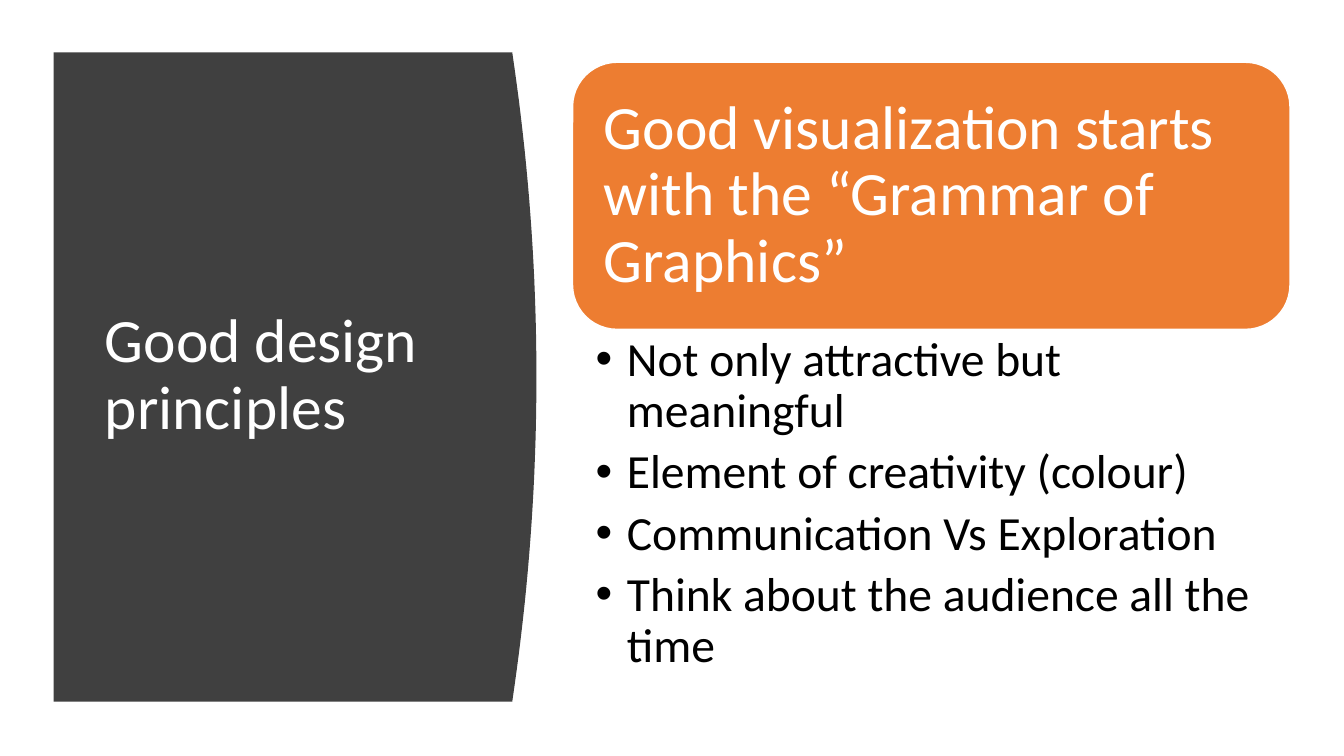
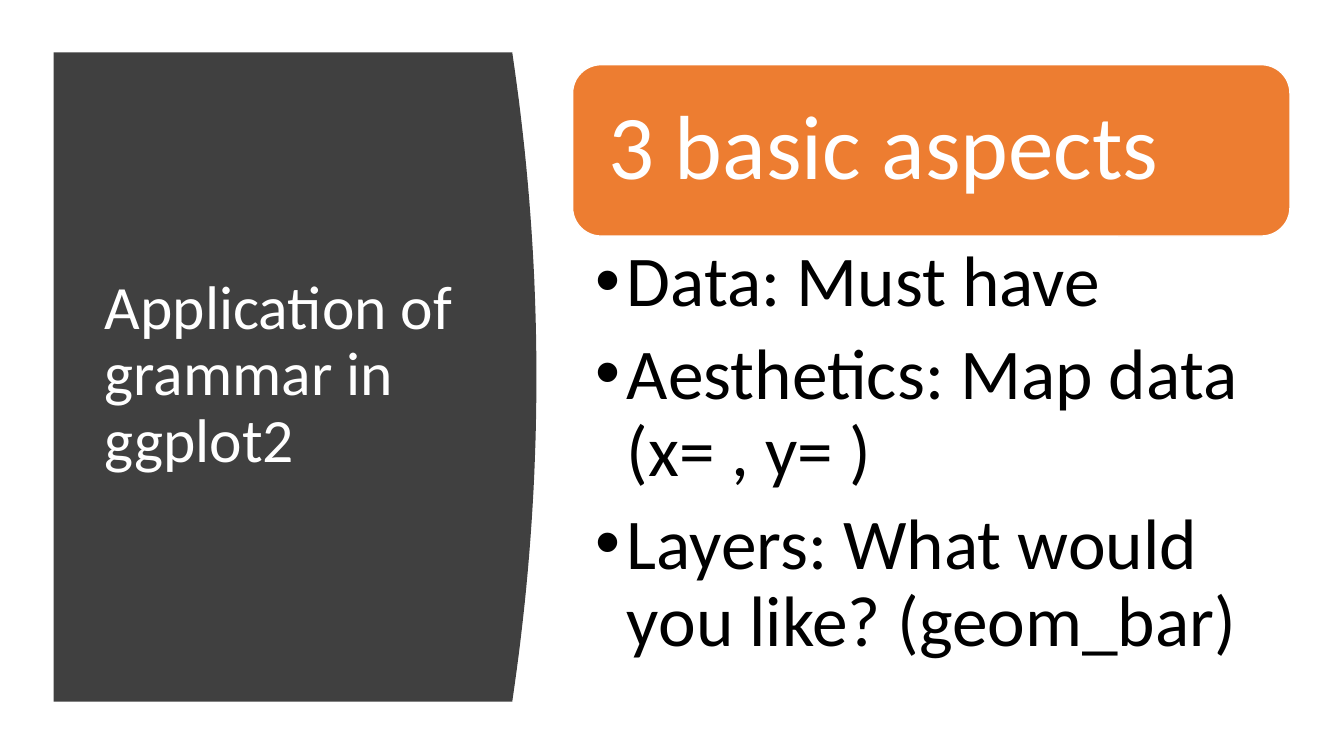
from lxml import etree
from pptx import Presentation
from pptx.dml.color import RGBColor
from pptx.enum.shapes import MSO_SHAPE
from pptx.enum.text import MSO_ANCHOR, MSO_AUTO_SIZE, PP_ALIGN
from pptx.oxml.ns import qn
from pptx.util import Cm, Pt

ROUNDED = MSO_SHAPE.ROUNDED_RECTANGLE
MIDDLE, TOP = MSO_ANCHOR.MIDDLE, MSO_ANCHOR.TOP
LEFT = PP_ALIGN.LEFT
NO_AUTOFIT = MSO_AUTO_SIZE.NONE

COLORS = {"panel": "404040", "header": "ED7D31", "light": "FFFFFF", "dark": "000000"}
FONT = "Calibri"
TITLE_SIZE = 44
TITLE_ONLY = 5

PANEL_LEFT, PANEL_TOP = 1.35, 1.32
PANEL_WIDTH, PANEL_HEIGHT = 11.56, 16.36
PANEL_BULGE = 0.61
CURVE_STEPS = 40
CONTENT_LEFT, CONTENT_WIDTH = 14.43, 18.08
CONTENT_BOTTOM = 17.4
BULLET_INDENT = 0.79

SLIDES = [
    {
        "title": "Good design principles",
        "header": "Good visualization starts with the “Grammar of Graphics”",
        "header_size": 44,
        "header_top": 1.57,
        "header_height": 6.73,
        "header_inset": 0.46,
        "points": [
            "Not only attractive but meaningful",
            "Element of creativity (colour)",
            "Communication Vs Exploration",
            "Think about the audience all the time",
        ],
        "points_size": 34,
        "points_insets": (0.58, 0.15, 0.86, 0.15),
    },
    {
        "title": "Application of grammar in ggplot2",
        "header": "3 basic aspects",
        "header_size": 65,
        "header_top": 1.63,
        "header_height": 4.32,
        "header_inset": 0.69,
        "points": [
            "Data: Must have",
            "Aesthetics: Map data (x= , y= )",
            "Layers: What would you like? (geom_bar)",
        ],
        "points_size": 51,
        "points_insets": (0.58, 0.23, 1.3, 0.23),
    },
]


def rgb(name):
    return RGBColor.from_string(COLORS[name])


def set_frame(frame, anchor, insets):
    """Insets are left, top, right, bottom in centimetres."""
    frame.word_wrap = True
    frame.auto_size = NO_AUTOFIT
    frame.vertical_anchor = anchor
    (frame.margin_left, frame.margin_top,
     frame.margin_right, frame.margin_bottom) = map(Cm, insets)


def write(paragraph, text, size, color):
    paragraph.alignment = LEFT
    paragraph.line_spacing = 0.9
    run = paragraph.add_run()
    run.text = text
    run.font.name = FONT
    run.font.size = Pt(size)
    run.font.color.rgb = rgb(color)


def add_bullet(paragraph):
    properties = paragraph._p.get_or_add_pPr()
    properties.set("marL", str(Cm(BULLET_INDENT)))
    properties.set("indent", str(-Cm(BULLET_INDENT)))
    etree.SubElement(properties, qn("a:buFont")).set("typeface", "Arial")
    etree.SubElement(properties, qn("a:buChar")).set("char", "•")


def add_panel(slide):
    """Dark panel whose right side bulges out as a parabola."""
    right = PANEL_LEFT + PANEL_WIDTH
    curve = []
    for step in range(CURVE_STEPS + 1):
        share = step / CURVE_STEPS
        bulge = PANEL_BULGE * 4 * share * (1 - share)
        curve.append((Cm(right + bulge), Cm(PANEL_TOP + PANEL_HEIGHT * share)))
    builder = slide.shapes.build_freeform(Cm(PANEL_LEFT), Cm(PANEL_TOP))
    bottom_left = (Cm(PANEL_LEFT), Cm(PANEL_TOP + PANEL_HEIGHT))
    builder.add_line_segments(curve + [bottom_left], close=True)
    panel = builder.convert_to_shape()
    panel.shadow.inherit = False
    panel.fill.solid()
    panel.fill.fore_color.rgb = rgb("panel")
    panel.line.fill.background()
    return panel


def add_title(slide, text):
    title = slide.shapes.title
    title.left, title.top = Cm(2.39), Cm(2.82)
    title.width, title.height = Cm(9.5), Cm(13.31)
    set_frame(title.text_frame, MIDDLE, (0.25, 0.13, 0.25, 0.13))
    write(title.text_frame.paragraphs[0], text, TITLE_SIZE, "light")
    return title


def add_header(slide, content):
    header = slide.shapes.add_shape(
        ROUNDED, Cm(CONTENT_LEFT), Cm(content["header_top"]),
        Cm(CONTENT_WIDTH), Cm(content["header_height"]))
    header.shadow.inherit = False
    header.fill.solid()
    header.fill.fore_color.rgb = rgb("header")
    header.line.color.rgb = rgb("light")
    header.line.width = Pt(1)
    set_frame(header.text_frame, MIDDLE, [content["header_inset"]] * 4)
    write(header.text_frame.paragraphs[0], content["header"],
          content["header_size"], "light")


def add_points(slide, content):
    top = content["header_top"] + content["header_height"]
    box = slide.shapes.add_textbox(
        Cm(CONTENT_LEFT), Cm(top), Cm(CONTENT_WIDTH), Cm(CONTENT_BOTTOM - top))
    frame = box.text_frame
    set_frame(frame, TOP, content["points_insets"])
    size = content["points_size"]
    for index, point in enumerate(content["points"]):
        paragraph = frame.add_paragraph() if index else frame.paragraphs[0]
        paragraph.level = 1
        write(paragraph, point, size, "dark")
        paragraph.space_after = Pt(round(size * 0.21))
        add_bullet(paragraph)


def main():
    presentation = Presentation()
    presentation.slide_width, presentation.slide_height = Cm(33.87), Cm(19.05)
    for content in SLIDES:
        slide = presentation.slides.add_slide(presentation.slide_layouts[TITLE_ONLY])
        panel = add_panel(slide)
        title = add_title(slide, content["title"])
        panel.element.addnext(title.element)
        add_header(slide, content)
        add_points(slide, content)
    presentation.save("out.pptx")


if __name__ == "__main__":
    main()
